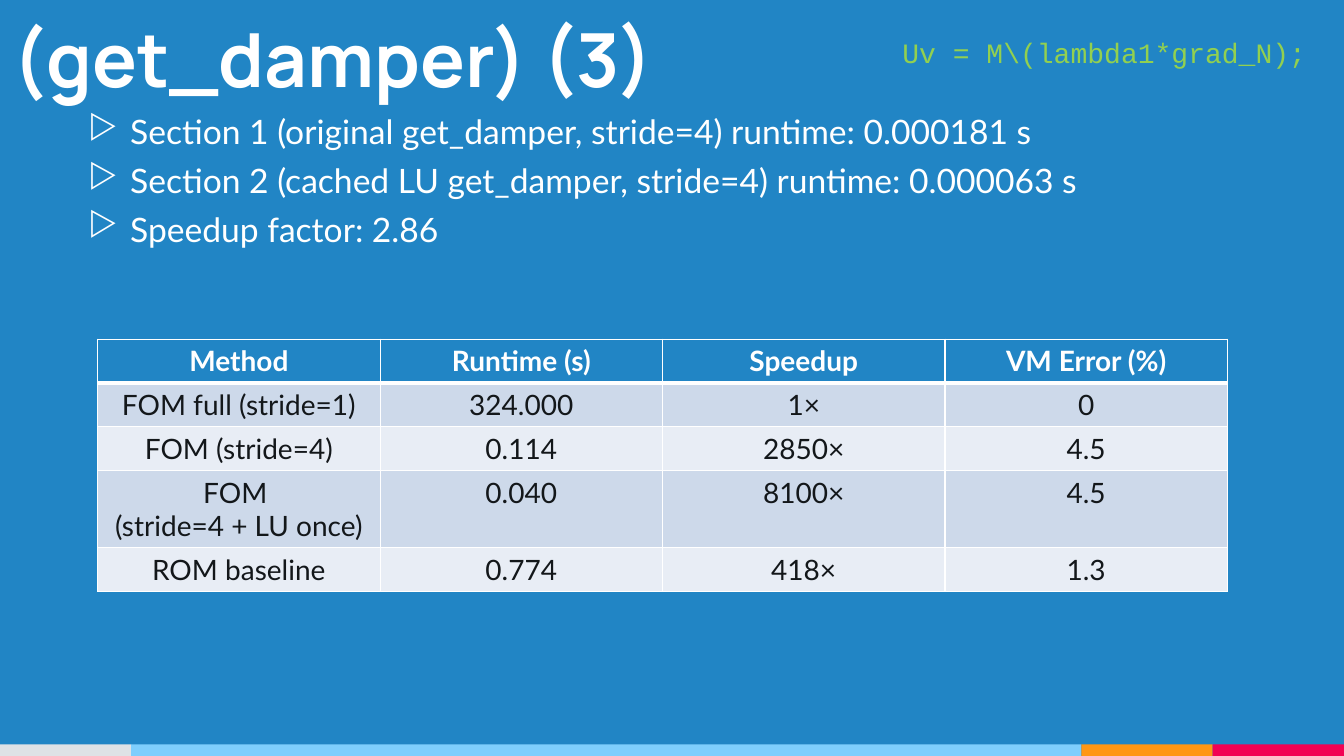
from lxml.etree import SubElement
from pptx import Presentation
from pptx.dml.color import RGBColor
from pptx.enum.shapes import MSO_SHAPE as Shape
from pptx.enum.text import MSO_ANCHOR as Anchor, PP_ALIGN as Align
from pptx.oxml.ns import qn
from pptx.util import Pt

PX = 9525
WIDTH, HEIGHT = 1280, 720
BLUE, WHITE, INK, GREEN = "2185C5", "FFFFFF", "13171A", "92D050"
BANDS = ["CDD9EA", "E8EDF5"]
STRIPES = [(125, "DEE2E6"), (905, "7ECEFD"), (125, "FF9715"), (125, "F20253")]
FINDINGS = [
    "Section 1 (original get_damper, stride=4) runtime: 0.000181 s",
    "Section 2 (cached LU get_damper, stride=4) runtime: 0.000063 s",
    "Speedup factor: 2.86",
]
RESULTS = [
    ["Method", "Runtime (s)", "Speedup", "VM Error (%)"],
    ["FOM full (stride=1)", "324.000", "1×", "0"],
    ["FOM (stride=4)", "0.114", "2850×", "4.5"],
    ["FOM \n(stride=4 + LU once)", "0.040", "8100×", "4.5"],
    ["ROM baseline", "0.774", "418×", "1.3"],
]
ROW_HEIGHTS = [40, 40, 40, 71, 40]


def color(value):
    return RGBColor.from_string(value)


def emu(*lengths):
    return [length * PX for length in lengths]


def paint(fill, value):
    fill.solid()
    fill.fore_color.rgb = color(value)


def style(para, face, size, value, bold=False):
    font = para.font
    font.name, font.size, font.bold = face, Pt(size), bold
    font.color.rgb = color(value)


def add_text(page, box, lines, inset=None):
    frame = page.shapes.add_textbox(*emu(*box)).text_frame
    frame.word_wrap = True
    if inset is not None:
        frame.margin_left = frame.margin_right = inset * PX
        frame.margin_top = frame.margin_bottom = inset * PX
    frame.text = "\n".join(lines)
    return frame


def add_stripes(page, box):
    left, top, _, height = box
    for width, value in STRIPES:
        stripe = page.shapes.add_shape(
            Shape.RECTANGLE, *emu(left, top, width, height))
        stripe.shadow.inherit = False
        paint(stripe.fill, value)
        stripe.line.fill.background()
        left += width


def add_title(page, box):
    frame = add_text(page, box, ["(get_damper) (3)"], 12)
    frame.vertical_anchor = Anchor.MIDDLE
    style(frame.paragraphs[0], "Manrope", 53.3, WHITE, True)


def add_findings(page, box):
    for para in add_text(page, box, FINDINGS, 12).paragraphs:
        props = para._p.get_or_add_pPr()
        props.set("marL", str(48 * PX))
        props.set("indent", str(-40 * PX))
        SubElement(SubElement(props, qn("a:buClr")), qn("a:srgbClr"), val=WHITE)
        SubElement(props, qn("a:buChar"), char="▷")
        para.space_before = Pt(6)
        style(para, "Lato", 24, WHITE)


def add_code(page, box):
    frame = add_text(page, box, ["Uv = M\\(lambda1*grad_N);"])
    style(frame.paragraphs[0], "Courier New", 20, GREEN)


def add_borders(cell, top, bottom):
    """Draw white cell borders; top and bottom are widths in points."""
    props = cell._tc.get_or_add_tcPr()
    for side, width in [("L", 1), ("R", 1), ("T", top), ("B", bottom)]:
        line = SubElement(props, qn(f"a:ln{side}"), w=str(Pt(width)))
        SubElement(SubElement(line, qn("a:solidFill")), qn("a:srgbClr"), val=WHITE)


def add_results(page, box):
    table = page.shapes.add_table(
        len(RESULTS), len(RESULTS[0]), *emu(*box)).table
    for column in table.columns:
        column.width = box[2] // len(RESULTS[0]) * PX
    for index, (texts, height) in enumerate(zip(RESULTS, ROW_HEIGHTS)):
        header = index == 0
        row = table.rows[index]
        row.height = height * PX
        for cell, text in zip(row.cells, texts):
            add_borders(cell, 3 if index == 1 else 1, 3 if header else 1)
            paint(cell.fill, BLUE if header else BANDS[(index - 1) % 2])
            cell.text = text
            for para in cell.text_frame.paragraphs:
                para.alignment = Align.CENTER
                style(para, "Lato", 20, WHITE if header else INK, header)


def build_page(deck):
    page = deck.slides.add_slide(deck.slide_layouts[6])
    paint(page.background.fill, BLUE)
    add_stripes(page, (0, 709, WIDTH, 11))
    add_title(page, (0, 0, WIDTH, 110))
    add_findings(page, (64, 94, 1106, 576))
    add_code(page, (850, 29, 471, 42))
    add_results(page, (93, 323, 1076, sum(ROW_HEIGHTS)))


def main():
    deck = Presentation()
    deck.slide_width, deck.slide_height = emu(WIDTH, HEIGHT)
    build_page(deck)
    deck.save("out.pptx")


if __name__ == "__main__":
    main()
